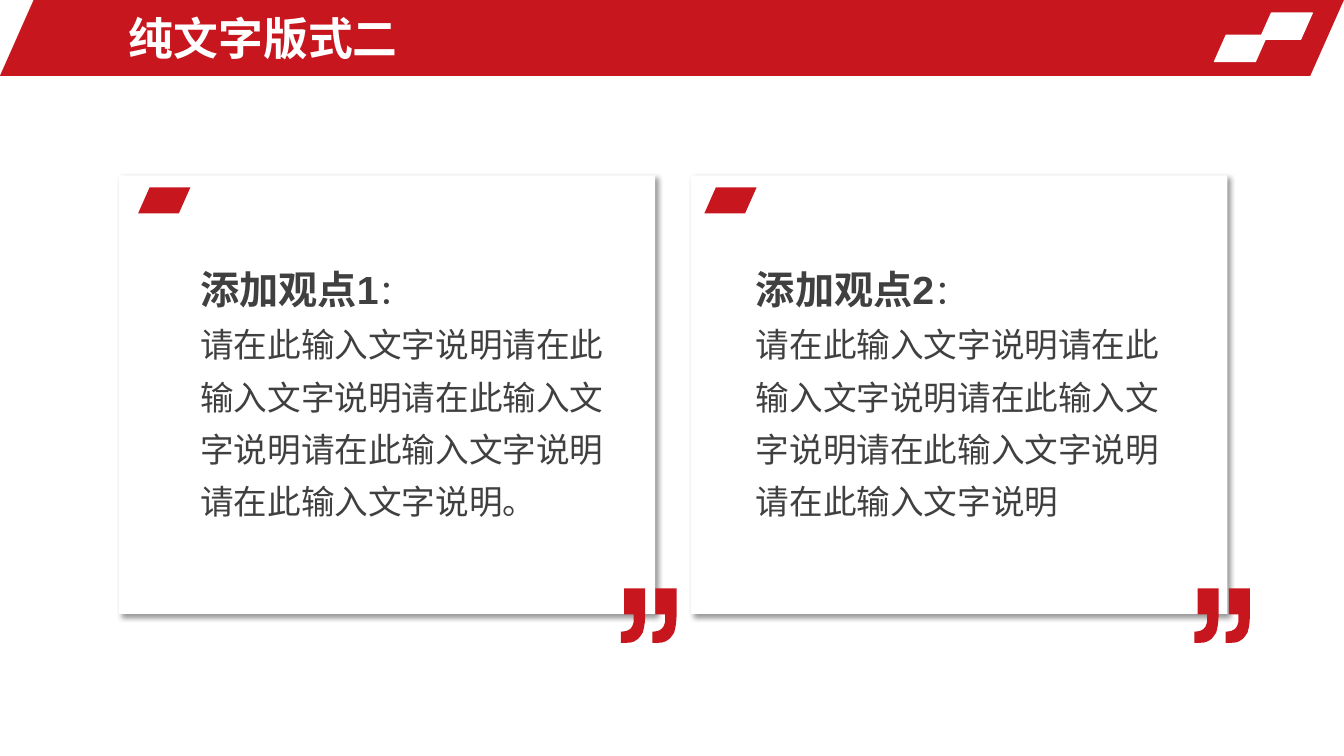
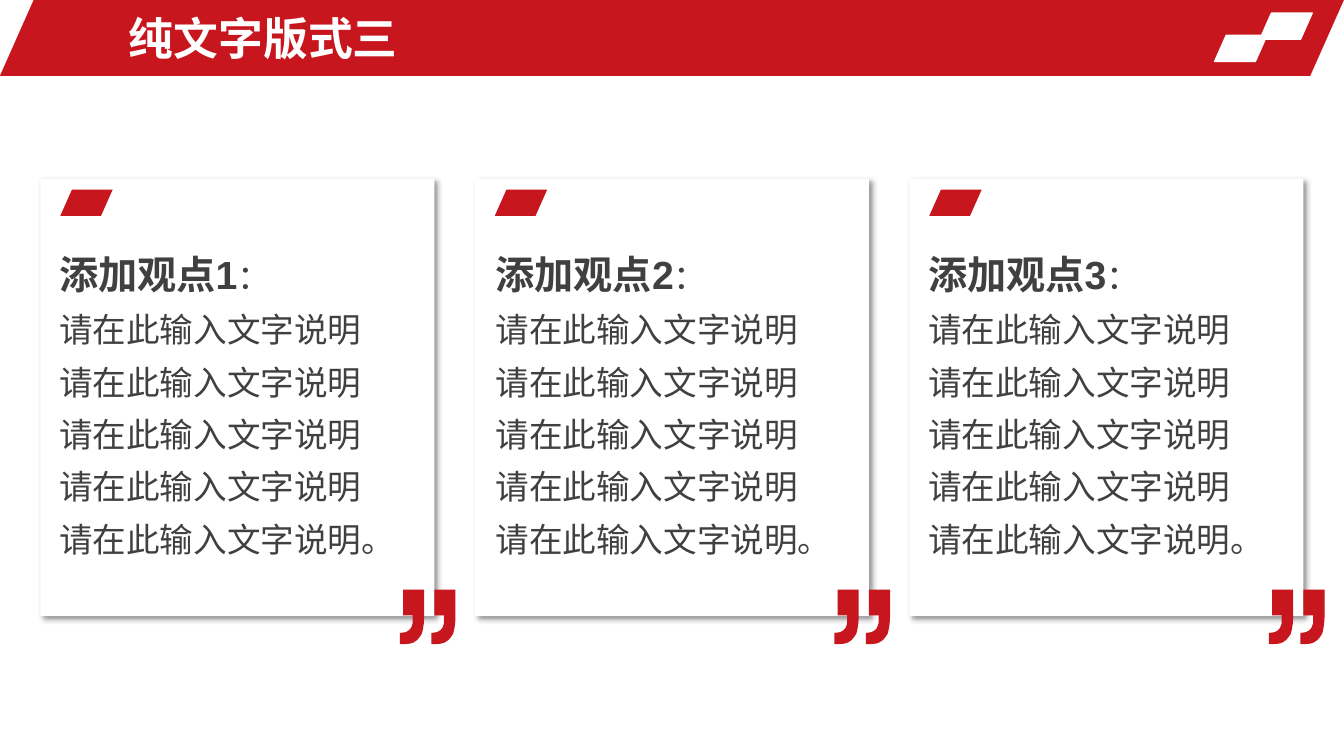
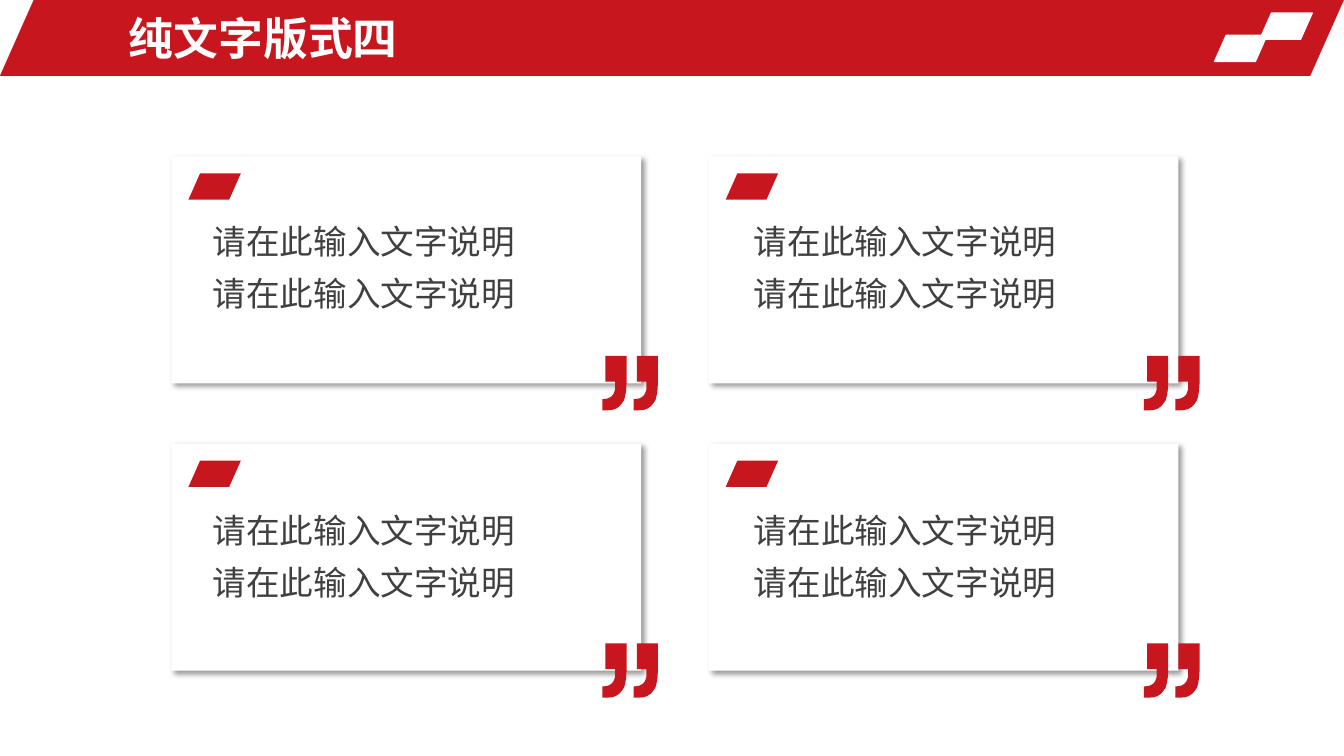
import itertools
from dataclasses import dataclass

import lxml.etree
import pptx
import pptx.dml.color
import pptx.enum.lang
import pptx.enum.shapes
import pptx.enum.text
import pptx.oxml
import pptx.oxml.ns
import pptx.util

Cm = pptx.util.Cm
Pt = pptx.util.Pt


@dataclass(frozen=True)
class Theme:
    red = pptx.dml.color.RGBColor.from_string("C8161E")
    white = pptx.dml.color.RGBColor.from_string("FFFFFF")
    ink = pptx.dml.color.RGBColor.from_string("404040")
    font = "Arial"
    title_size = Pt(32)
    heading_size = Pt(28)
    body_size = Pt(24)
    slant = 0.444


theme = Theme()
shapes_enum = pptx.enum.shapes.MSO_SHAPE
card_shadow = (
    f'<a:effectLst {pptx.oxml.ns.nsdecls("a")}>'
    '<a:outerShdw blurRad="50800" dist="38100" dir="2700000" algn="tl" rotWithShape="0">'
    '<a:srgbClr val="000000"><a:alpha val="40000"/></a:srgbClr>'
    "</a:outerShdw></a:effectLst>"
)


def add_block(slide, kind, box, color):
    block = slide.shapes.add_shape(kind, *(Cm(length) for length in box))
    block.shadow.inherit = False
    block.fill.solid()
    block.fill.fore_color.rgb = color
    block.line.fill.background()
    if kind == shapes_enum.PARALLELOGRAM:
        block.adjustments[0] = theme.slant
    return block


def style_font(font, size, color, bold):
    font.name = theme.font
    font.size = size
    font.color.rgb = color
    font.bold = bold
    font.language_id = pptx.enum.lang.MSO_LANGUAGE_ID.SIMPLIFIED_CHINESE


def_curves = {
    "outer": [(61, 71), (61, 114), (46, 137), (13, 137)],
    "inner": [(0, 109), (22, 109), (32, 97), (32, 78)],
}
curves = {}
for side, (start, pull_a, pull_b, end) in def_curves.items():
    curves[side] = []
    for step in range(9):
        t = step / 8
        weights = ((1 - t) ** 3, 3 * t * (1 - t) ** 2, 3 * t**2 * (1 - t), t**3)
        curves[side].append(tuple(
            sum(w * point[axis] for w, point in zip(weights, (start, pull_a, pull_b, end)))
            for axis in (0, 1)
        ))
comma = [(8, 0), (61, 0), *curves["outer"], (0, 137), *curves["inner"], (32, 65), (8, 65)]
comma_step = 79

phrase = "请在此输入文字说明"
pages = [
    {
        "title": "纯文字版式二",
        "card": (13.51, 11.05),
        "text": (10.82, 7.01),
        "columns": [(3, 3.48, 4.8, 15.65), (17.42, 17.75, 18.8, 30.1)],
        "rows": [(4.42, 4.72, 6.2, 14.83)],
        "headed": True,
        "bodies": [[phrase * 5 + "。"], [phrase * 5]],
    },
    {
        "title": "纯文字版式三",
        "card": (9.93, 11.02),
        "text": (9.7, 8.36),
        "columns": [
            (1.02, 1.52, 1.24, 10.08),
            (11.97, 12.47, 12.24, 21.03),
            (22.92, 23.42, 23.14, 31.98),
        ],
        "rows": [(4.5, 4.78, 5.82, 14.86)],
        "headed": True,
        "bodies": [[phrase] * 4 + [phrase + "。"]] * 3,
    },
    {
        "title": "纯文字版式四",
        "card": (11.84, 5.72),
        "text": (10.77, 2.79),
        "columns": [(4.32, 4.75, 5.11, 15.18), (17.86, 18.29, 18.75, 28.83)],
        "rows": [(3.94, 4.37, 5.13, 8.97), (11.18, 11.61, 12.42, 16.21)],
        "headed": False,
        "bodies": [[phrase] * 2] * 4,
    },
]

deck = pptx.Presentation()
deck.slide_width = Cm(33.87)
deck.slide_height = Cm(19.05)
blank = deck.slide_layouts[6]
for placeholder in list(blank.placeholders):
    blank.shapes.element.remove(placeholder.element)
slides = [deck.slides.add_slide(blank) for page in pages]

band = add_block(slides[0], shapes_enum.PARALLELOGRAM, (0, 0, 33.87, 1.91), theme.red)
blank.shapes.element.append(band.element)
for left, top in [(31.75, 0.33), (30.61, 0.89)]:
    tile = add_block(slides[0], shapes_enum.PARALLELOGRAM, (left, top, 1.32, 0.66), theme.white)
    tile.line.color.rgb = theme.white
    tile.line.width = Pt(1)
    blank.shapes.element.append(tile.element)
for number, part in enumerate(blank.shapes, 2):
    part.element.nvSpPr.cNvPr.set("id", str(number))

for slide, page in zip(slides, pages):
    title = slide.shapes.add_textbox(Cm(3), Cm(0.13), Cm(19.66), Cm(1.65)).text_frame
    title.word_wrap = True
    title.vertical_anchor = pptx.enum.text.MSO_ANCHOR.MIDDLE
    title.text = page["title"]
    style_font(title.paragraphs[0].font, theme.title_size, theme.white, True)

    places = itertools.product(page["rows"], page["columns"])
    for number, ((row, column), body) in enumerate(zip(places, page["bodies"]), 1):
        card_at, mark_at, text_at, quote_at = zip(column, row)

        card = add_block(slide, shapes_enum.RECTANGLE, (*card_at, *page["card"]), theme.white)
        properties = card.element.spPr
        properties.replace(
            properties.find(pptx.oxml.ns.qn("a:effectLst")), pptx.oxml.parse_xml(card_shadow)
        )
        add_block(slide, shapes_enum.PARALLELOGRAM, (*mark_at, 1.32, 0.66), theme.red)

        opinion = slide.shapes.add_textbox(
            *(Cm(length) for length in (*text_at, *page["text"]))
        ).text_frame
        opinion.word_wrap = True
        opinion.auto_size = pptx.enum.text.MSO_AUTO_SIZE.SHAPE_TO_FIT_TEXT
        heading = [f"添加观点{number}"] if page["headed"] else []
        opinion.text = "\n".join(heading + body)
        for paragraph in opinion.paragraphs:
            paragraph.line_spacing = 1.3
            style_font(paragraph.font, theme.body_size, theme.ink, False)
        if heading:
            label = opinion.paragraphs[0]
            style_font(label.runs[0].font, theme.heading_size, theme.ink, True)
            label.add_run().text = "："

        outline = slide.shapes.build_freeform(*comma[0], scale=Cm(0.01))
        outline.add_line_segments(comma[1:], close=True)
        second = [(x + comma_step, y) for x, y in comma]
        outline.move_to(*second[0])
        outline.add_line_segments(second[1:], close=True)
        quote = outline.convert_to_shape(*(Cm(length) for length in quote_at))
        quote.shadow.inherit = False
        quote.fill.solid()
        quote.fill.fore_color.rgb = theme.red
        quote.line.fill.background()

deck.save("out.pptx")
